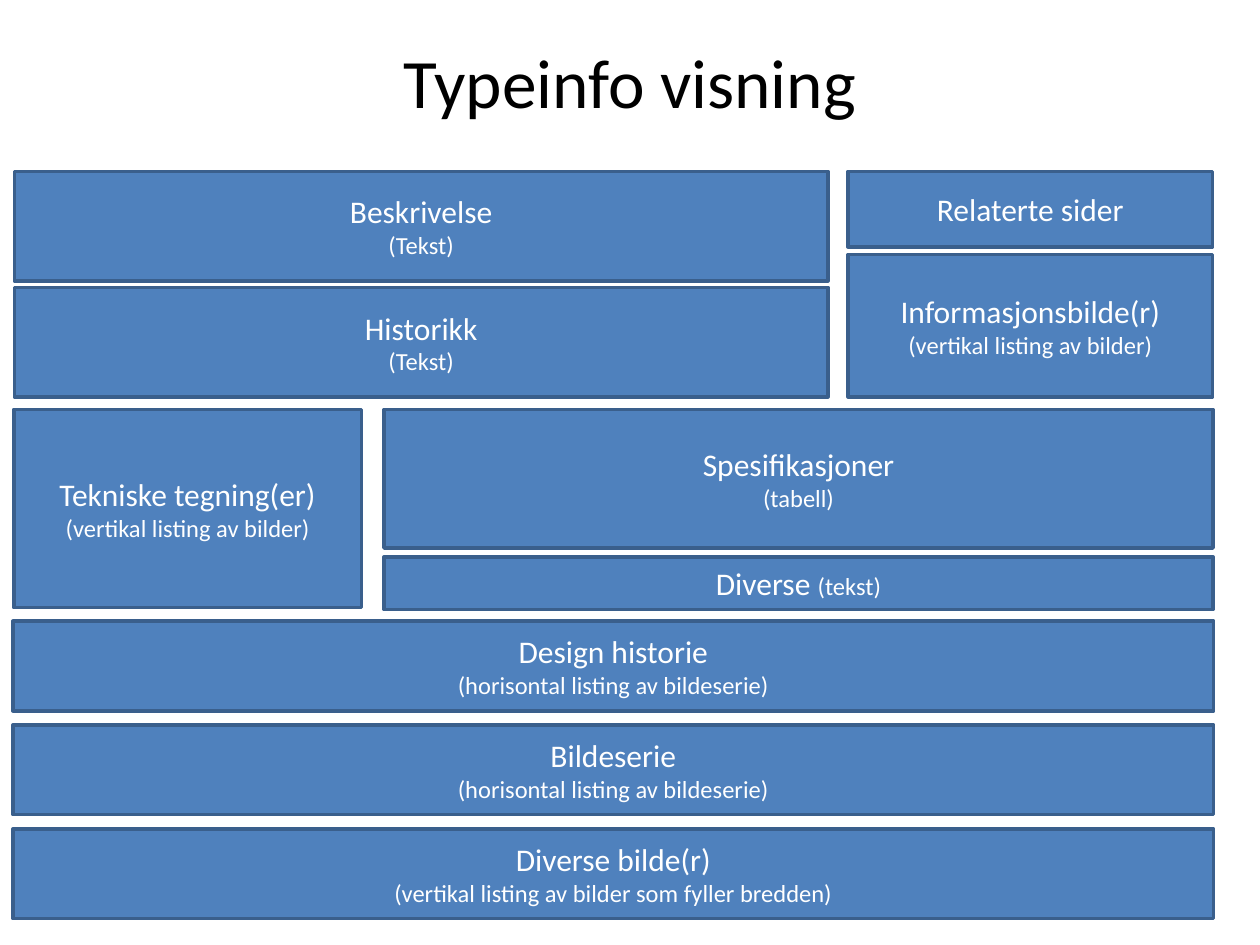
from pptx import Presentation
from pptx.dml.color import RGBColor
from pptx.enum.shapes import MSO_SHAPE
from pptx.enum.text import MSO_ANCHOR, MSO_AUTO_SIZE, PP_ALIGN
from pptx.util import Pt

COLORS = {"fill": "4F81BD", "line": "3A5F8C", "text": "FFFFFF", "title": "000000"}
TITLE = "Typeinfo visning"
HEADING_SIZE, NOTE_SIZE = 18, 14

# Each column: left, width, top, gap, then boxes of (height, heading, note, note on same line)
COLUMNS = [
    (8.2, 465, 97.9, 3.7, [
        (62.6, "Beskrivelse", "(Tekst)", False),
        (62.6, "Historikk", "(Tekst)", False),
    ]),
    (484.6, 208.4, 97.9, 4.3, [
        (43.2, "Relaterte sider", "", False),
        (81.4, "Informasjonsbilde(r)", "(vertikal listing av bilder)", False),
    ]),
    (7.9, 198.7, 234, 0, [
        (113.2, "Tekniske tegning(er)", "(vertikal listing av bilder)", False),
    ]),
    (219.4, 473.8, 234, 5, [
        (79.2, "Spesifikasjoner", "(tabell)", False),
        (30.2, "Diverse ", "(tekst)", True),
    ]),
    (7.4, 686.2, 355, 8.2, [
        (51.2, "Design historie", "(horisontal listing av bildeserie)", False),
        (51.2, "Bildeserie", "(horisontal listing av bildeserie)", False),
        (51.2, "Diverse bilde(r)", "(vertikal listing av bilder som fyller bredden)", False),
    ]),
]


def rgb(name):
    return RGBColor.from_string(COLORS[name])


def add_run(p, text, size, color):
    p.alignment = PP_ALIGN.CENTER
    r = p.add_run()
    r.text = text
    for key, value in {"name": "Calibri", "size": Pt(size)}.items():
        setattr(r.font, key, value)
    r.font.color.rgb = rgb(color)


def add_box(slide, left, top, width, height, heading, note, same_line):
    sp = slide.shapes.add_shape(MSO_SHAPE.RECTANGLE, Pt(left), Pt(top), Pt(width), Pt(height))
    sp.shadow.inherit = False
    sp.fill.solid()
    sp.fill.fore_color.rgb = rgb("fill")
    sp.line.color.rgb = rgb("line")
    sp.line.width = Pt(2)
    tf = sp.text_frame
    tf.word_wrap = True
    tf.vertical_anchor = MSO_ANCHOR.MIDDLE
    p = tf.paragraphs[0]
    add_run(p, heading, HEADING_SIZE, "text")
    if note:
        add_run(p if same_line else tf.add_paragraph(), note, NOTE_SIZE, "text")


def add_title(slide):
    title = slide.shapes.title
    frame = {"left": 36, "top": 21.6, "width": 648, "height": 49.7}
    for key, value in frame.items():
        setattr(title, key, Pt(value))
    tf = title.text_frame
    tf.auto_size = MSO_AUTO_SIZE.NONE
    tf.vertical_anchor = MSO_ANCHOR.MIDDLE
    add_run(tf.paragraphs[0], TITLE, 39.6, "title")


def main():
    prs = Presentation()
    prs.slide_width, prs.slide_height = Pt(720), Pt(540)
    slide = prs.slides.add_slide(prs.slide_layouts[5])
    add_title(slide)
    for left, width, top, gap, boxes in COLUMNS:
        for height, *texts in boxes:
            add_box(slide, left, top, width, height, *texts)
            top += height + gap
    prs.save("out.pptx")


if __name__ == "__main__":
    main()
